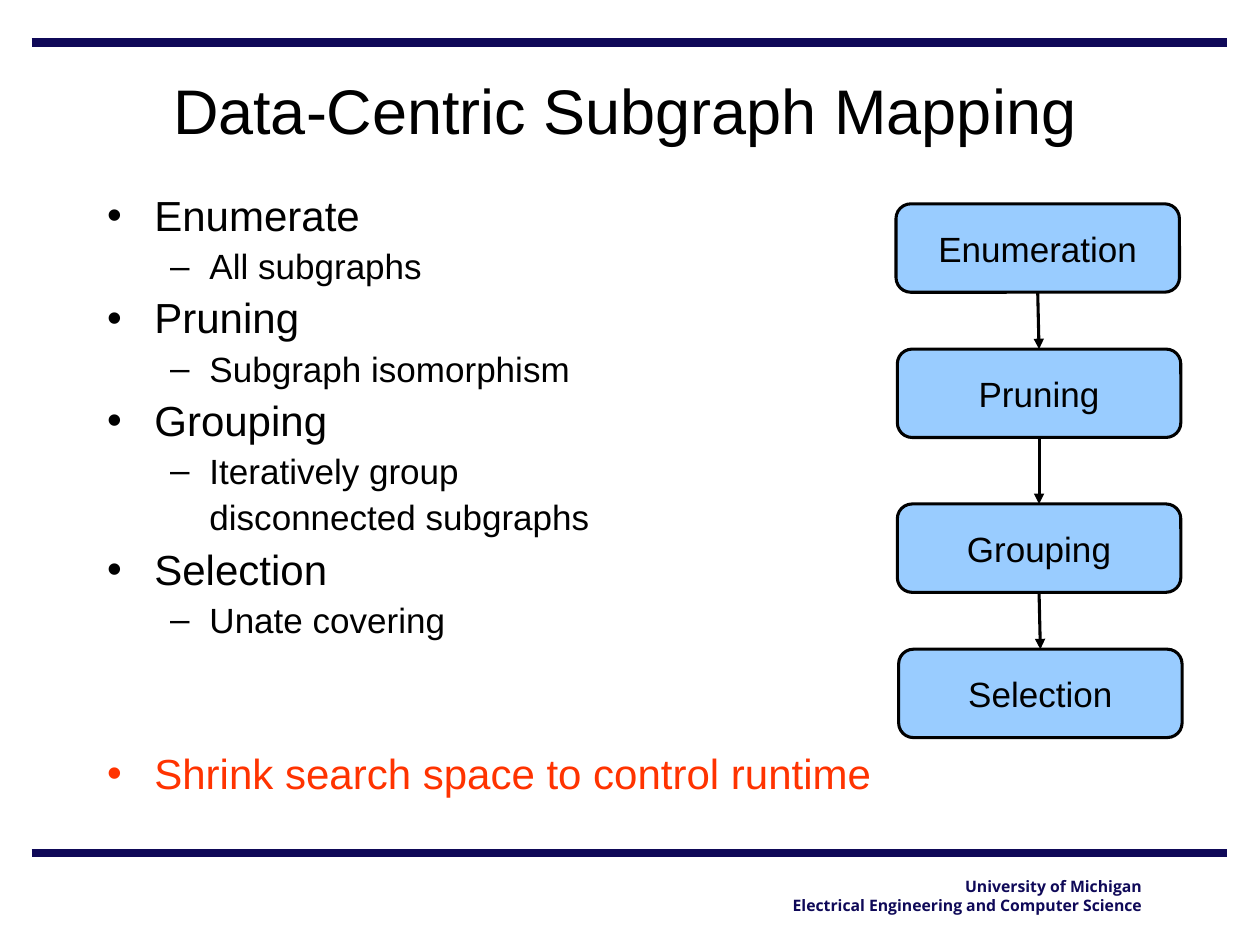
"""Build the Data-Centric Subgraph Mapping slide."""
from itertools import pairwise

from lxml import etree
from pptx import Presentation
from pptx.dml.color import RGBColor
from pptx.enum.shapes import MSO_CONNECTOR, MSO_SHAPE
from pptx.enum.text import MSO_ANCHOR, MSO_AUTO_SIZE, PP_ALIGN
from pptx.oxml.ns import qn
from pptx.util import Pt

STRAIGHT = MSO_CONNECTOR.STRAIGHT
ROUNDED = MSO_SHAPE.ROUNDED_RECTANGLE
TOP, MIDDLE = MSO_ANCHOR.TOP, MSO_ANCHOR.MIDDLE
LEFT, CENTER, RIGHT = PP_ALIGN.LEFT, PP_ALIGN.CENTER, PP_ALIGN.RIGHT
NO_AUTOFIT = MSO_AUTO_SIZE.NONE
BOTTOM_SITE, TOP_SITE = 2, 0
BLACK, NAVY, SKY, RED = "000000", "0F0958", "99CCFF", "FF3300"

LEVELS = (
    {"size": 24, "bullet": "•", "margin": 27, "indent": -27, "before": 6},
    {"size": 20, "bullet": "–", "margin": 58.5, "indent": -22.5, "before": 5},
)
OUTLINE = (
    (0, "Enumerate", {"before": 0}),
    (1, "All subgraphs", {}),
    (0, "Pruning", {}),
    (1, "Subgraph isomorphism", {}),
    (0, "Grouping", {}),
    (1, "Iteratively group", {}),
    (1, "disconnected subgraphs", {"bullet": None, "indent": 0}),
    (0, "Selection", {}),
    (1, "Unate covering", {}),
    (0, "Shrink search space to control runtime", {"before": 64, "color": RED}),
)
STEPS = (
    ("Enumeration", 512, 116.5),
    ("Pruning", 512.75, 199.5),
    ("Grouping", 512.75, 288),
    ("Selection", 513.5, 371),
)


def color(value):
    return RGBColor.from_string(value)


def apply(target, values):
    for name, value in values.items():
        setattr(target, name, value)


class SlideBuilder:
    """Hold the style and the current slide."""

    def __init__(self, page, font="Arial"):
        self.page = page
        self.font = font

    def place(self, box, left, top, width, height):
        apply(box, {"left": Pt(left), "top": Pt(top),
                    "width": Pt(width), "height": Pt(height)})

    def frame(self, box, anchor, wrap=True):
        apply(box.text_frame, {"word_wrap": wrap, "auto_size": NO_AUTOFIT,
                               "vertical_anchor": anchor})
        return box.text_frame

    def add_text(self, para, text, size, align=CENTER, ink=BLACK, font=None, bold=False):
        para.alignment = align
        span = para.add_run()
        span.text = text
        apply(span.font, {"name": font or self.font, "size": Pt(size), "bold": bold})
        span.font.color.rgb = color(ink)

    def title(self, text, area):
        box = self.page.shapes.title
        self.place(box, *area)
        self.add_text(self.frame(box, MIDDLE).paragraphs[0], text, 36)

    def bullet(self, para, mark, ink, margin, indent):
        props = para._p.get_or_add_pPr()
        props.set("marL", str(Pt(margin)))
        props.set("indent", str(Pt(indent)))
        if mark is None:
            etree.SubElement(props, qn("a:buNone"))
            return
        tint = etree.SubElement(props, qn("a:buClr"))
        etree.SubElement(tint, qn("a:srgbClr"), val=ink)
        etree.SubElement(props, qn("a:buFont"), typeface=self.font)
        etree.SubElement(props, qn("a:buChar"), char=mark)

    def outline(self, items, area):
        box = self.page.placeholders[1]
        self.place(box, *area)
        frame = self.frame(box, TOP)
        for index, (level, text, changes) in enumerate(items):
            look = {"color": BLACK, **LEVELS[level], **changes}
            para = frame.add_paragraph() if index else frame.paragraphs[0]
            apply(para, {"level": level, "line_spacing": 0.9,
                         "space_before": Pt(look["before"])})
            self.bullet(para, look["bullet"], look["color"],
                        look["margin"], look["indent"])
            self.add_text(para, text, look["size"], LEFT, look["color"])

    def credit(self, lines, area):
        box = self.page.shapes.add_textbox(*map(Pt, area))
        frame = self.frame(box, TOP)
        for index, text in enumerate(lines):
            para = frame.add_paragraph() if index else frame.paragraphs[0]
            self.add_text(para, text, 9, RIGHT, NAVY, "Open Sans", True)

    def step(self, text, left, top):
        box = self.page.shapes.add_shape(ROUNDED, Pt(left), Pt(top), Pt(162), Pt(50.5))
        box.shadow.inherit = False
        box.fill.solid()
        box.fill.fore_color.rgb = color(SKY)
        box.line.color.rgb = color(BLACK)
        box.line.width = Pt(1.75)
        self.add_text(self.frame(box, MIDDLE, False).paragraphs[0], text, 20)
        return box

    def line(self, ends, ink, width):
        line = self.page.shapes.add_connector(STRAIGHT, *map(Pt, ends))
        line.line.color.rgb = color(ink)
        line.line.width = Pt(width)
        etree.SubElement(line._element.spPr, qn("a:effectLst"))
        return line

    def arrow(self, source, target):
        arrow = self.line((0, 0, 0, 0), BLACK, 1.75)
        arrow.begin_connect(source, BOTTOM_SITE)
        arrow.end_connect(target, TOP_SITE)
        outline = arrow._element.spPr.get_or_add_ln()
        etree.SubElement(outline, qn("a:tailEnd"), type="triangle")


def main():
    deck = Presentation()
    apply(deck, {"slide_width": Pt(720), "slide_height": Pt(540)})
    builder = SlideBuilder(deck.slides.add_slide(deck.slide_layouts[1]))
    for height in (24.5, 487.5):
        builder.line((18, height, 701.25, height), NAVY, 5)
    builder.credit(("University of Michigan",
                    "Electrical Engineering and Computer Science"),
                   (440, 497.5, 219.5, 29))
    builder.title("Data-Centric Subgraph Mapping", (22.5, 30, 669, 65.5))
    builder.outline(OUTLINE, (54, 108, 612, 372))
    boxes = [builder.step(*step) for step in STEPS]
    for source, target in pairwise(boxes):
        builder.arrow(source, target)
    deck.save("out.pptx")


if __name__ == "__main__":
    main()
